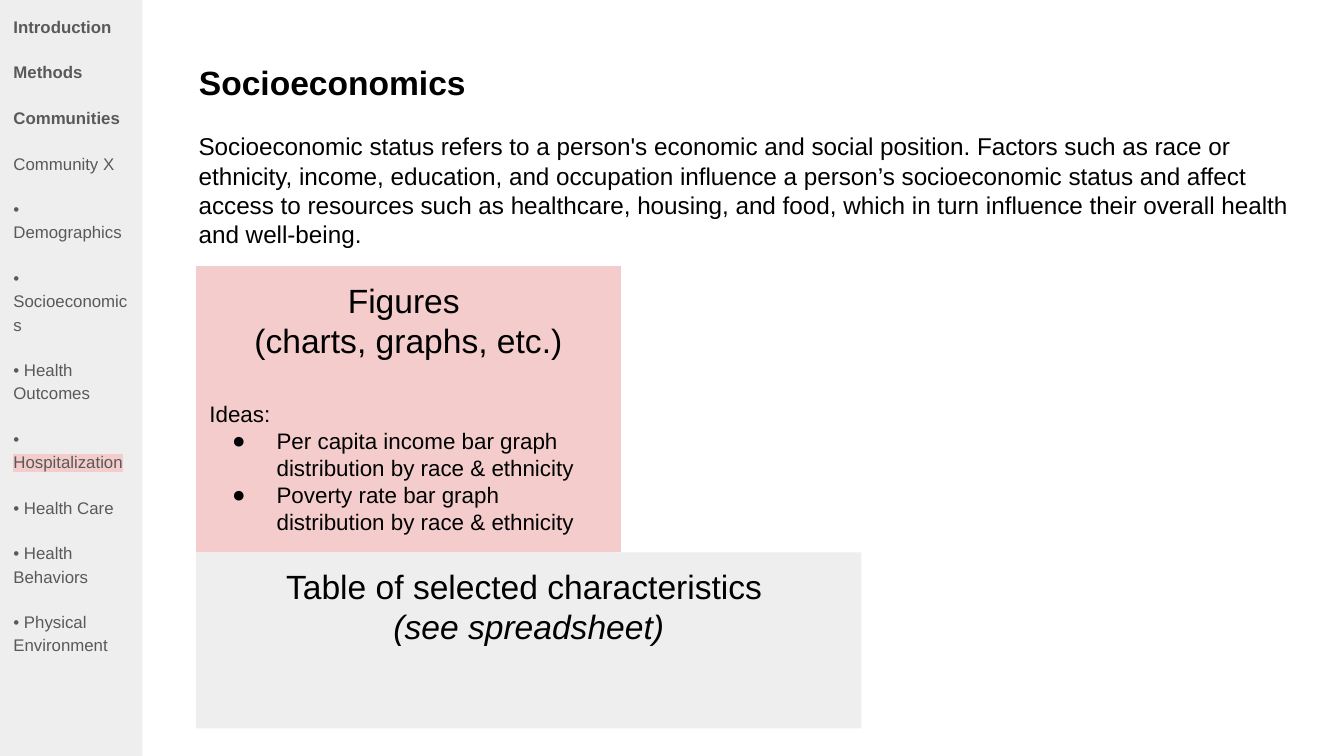
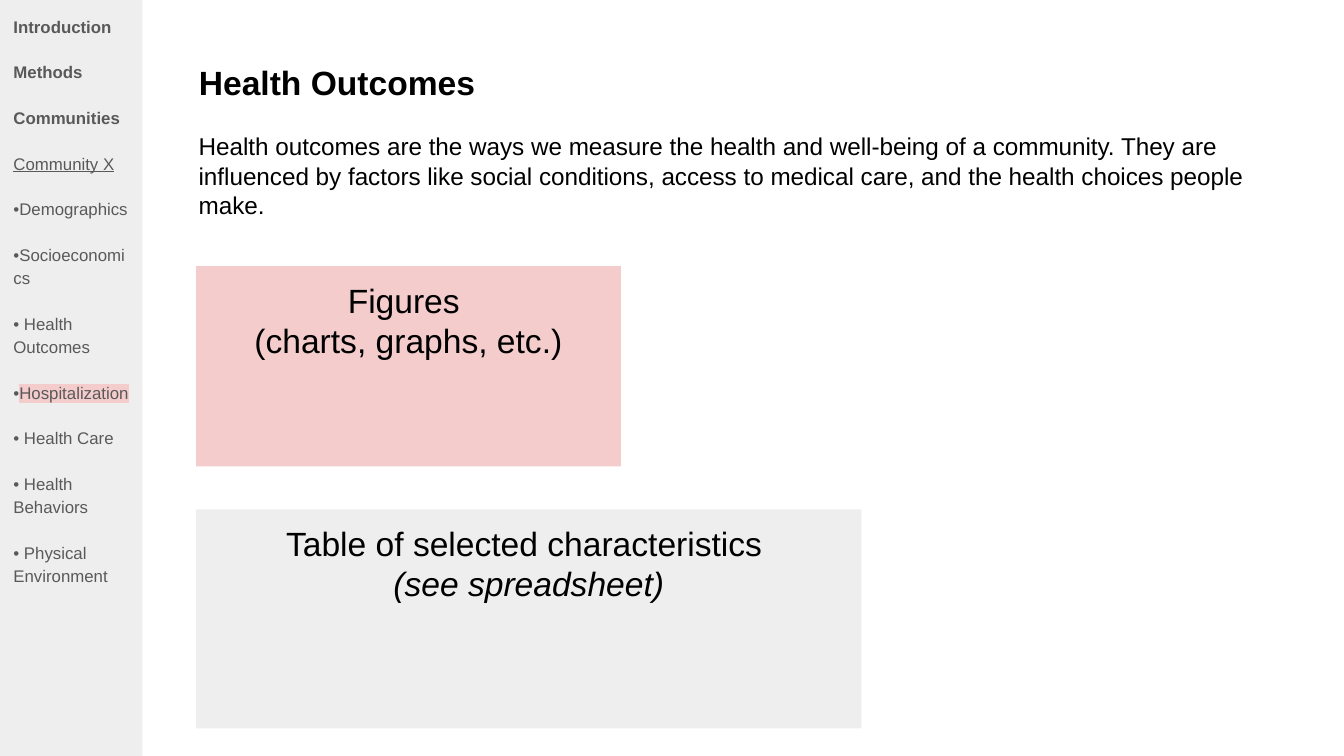
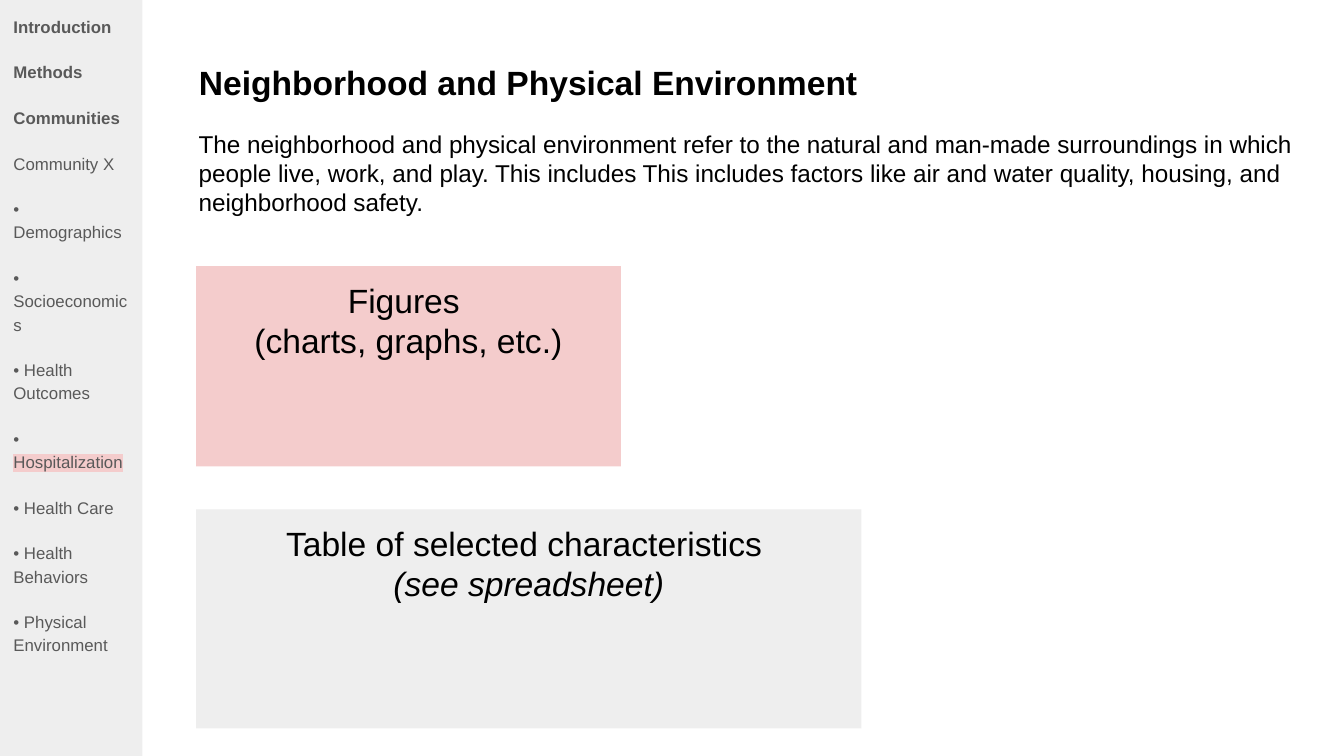
from dataclasses import dataclass

from pptx import Presentation
from pptx.dml.color import RGBColor
from pptx.enum import shapes, text
from pptx.oxml import parse_xml
from pptx.oxml.ns import nsdecls
from pptx.util import Inches, Pt


@dataclass(frozen=True)
class Theme:
    font: str = "Arial"
    ink: str = "000000"
    muted: str = "595959"
    grey: str = "EEEEEE"
    pink: str = "F4CCCC"
    heading: float = 18
    body: float = 13
    ideas: float = 12
    menu: float = 9


theme = Theme()

# Shared layout, in inches, on a 16:9 slide
SLIDE_WIDTH = 10
SLIDE_HEIGHT = SLIDE_WIDTH * 9 / 16
SIDEBAR_WIDTH = 1.06
TEXT_LEFT, TEXT_WIDTH = 1.38, 8.43
TITLE_TOP, INTRO_BOTTOM = 0.36, 2.3
PANEL_LEFT, FIGURES_TOP, TABLE_BOTTOM = 1.46, 1.98, 5.42

# Sidebar entries
SECTIONS = ["Introduction", "Methods", "Communities"]
COMMUNITY = "Community X"
TOPICS = ["Demographics", "Socioeconomics", "Health Outcomes", "Hospitalization",
          "Health Care", "Health Behaviors", "Physical Environment"]
MARKED_TOPIC = "Hospitalization"

# What differs from slide to slide
pages = [
    dict(title="Socioeconomics",
         intro="Socioeconomic status refers to a person's economic and social position. "
               "Factors such as race or ethnicity, income, education, and occupation "
               "influence a person’s socioeconomic status and affect access to resources "
               "such as healthcare, housing, and food, which in turn influence their "
               "overall health and well-being.",
         intro_top=0.88, figures_height=2.13, table_top=4.11,
         ideas=["Per capita income bar graph distribution by race & ethnicity",
                "Poverty rate bar graph distribution by race & ethnicity"],
         tight_topics=[], underline_community=False),
    dict(title="Health Outcomes",
         intro="Health outcomes are the ways we measure the health and well-being of a "
               "community. They are influenced by factors like social conditions, access "
               "to medical care, and the health choices people make.",
         intro_top=0.88, figures_height=1.49, table_top=3.79, ideas=[],
         tight_topics=["Demographics", "Socioeconomics", "Hospitalization"],
         underline_community=True),
    dict(title="Neighborhood and Physical Environment",
         intro="The neighborhood and physical environment refer to the natural and "
               "man-made surroundings in which people live, work, and play. This includes "
               "This includes factors like air and water quality, housing, and "
               "neighborhood safety.",
         intro_top=0.86, figures_height=1.49, table_top=3.79, ideas=[],
         tight_topics=[], underline_community=False),
]


def prepare(box, left, top, width, height, fill=None):
    """Place a box, fill it and set its text frame; return the frame."""
    box.left, box.top = Inches(left), Inches(top)
    box.width, box.height = Inches(width), Inches(height)
    if fill:
        box.fill.solid()
        box.fill.fore_color.rgb = RGBColor.from_string(fill)
        box.line.fill.background()
    frame = box.text_frame
    frame.word_wrap = True
    frame.auto_size = text.MSO_AUTO_SIZE.NONE
    frame.vertical_anchor = text.MSO_ANCHOR.TOP
    frame.margin_left = frame.margin_right = Inches(0.1)
    frame.margin_top = frame.margin_bottom = Inches(0.1)
    return frame


def style(para, size, color=theme.ink, bold=False, align=text.PP_ALIGN.LEFT, before=0):
    """Format a paragraph and all of its runs."""
    para.alignment = align
    para.space_before = Pt(before)
    for span in para.runs:
        span.font.name = theme.font
        span.font.size = Pt(size)
        span.font.bold = bold
        span.font.color.rgb = RGBColor.from_string(color)


deck = Presentation()
deck.slide_width, deck.slide_height = Inches(SLIDE_WIDTH), Inches(SLIDE_HEIGHT)

for content in pages:
    page = deck.slides.add_slide(deck.slide_layouts[1])

    # Sidebar menu
    frame = prepare(page.placeholders[1], 0, 0, SIDEBAR_WIDTH, SLIDE_HEIGHT, theme.grey)
    bullets = ["•" if topic in content["tight_topics"] else "• " for topic in TOPICS]
    entries = SECTIONS + [COMMUNITY] + [b + topic for b, topic in zip(bullets, TOPICS)]
    frame.text = "\n".join(entries)
    for para, entry in zip(frame.paragraphs, entries):
        if entry.endswith(MARKED_TOPIC):
            para.text = entry.removesuffix(MARKED_TOPIC)
            para.add_run().text = MARKED_TOPIC
        para.line_spacing = 1.15
        style(para, theme.menu, theme.muted, bold=entry in SECTIONS,
              before=0 if entry == entries[0] else 12)
        if entry == COMMUNITY and content["underline_community"]:
            para.runs[0].font.underline = True
        if entry.endswith(MARKED_TOPIC):
            properties = para.runs[-1].font._element
            properties.find("{*}solidFill").addnext(parse_xml(
                f'<a:highlight {nsdecls("a")}><a:srgbClr val="{theme.pink}"/></a:highlight>'))
        if entry == entries[-1]:
            para.space_after = Pt(12)
        properties = para._p.get_or_add_pPr()
        properties.set("marL", "0")
        properties.set("indent", "0")
        properties.append(parse_xml(f'<a:buNone {nsdecls("a")}/>'))

    # Title
    frame = prepare(page.shapes.title, TEXT_LEFT, TITLE_TOP, TEXT_WIDTH,
                    content["intro_top"] - TITLE_TOP)
    frame.text = content["title"]
    style(frame.paragraphs[0], theme.heading, bold=True)

    # Introduction
    box = page.shapes.add_textbox(0, 0, 0, 0)
    frame = prepare(box, TEXT_LEFT, content["intro_top"], TEXT_WIDTH,
                    INTRO_BOTTOM - content["intro_top"])
    frame.text = content["intro"]
    style(frame.paragraphs[0], theme.body)

    # Table and figures panels
    panels = [
        (content["table_top"], 4.95, TABLE_BOTTOM - content["table_top"], theme.grey,
         ["Table of selected characteristics ", "(see spreadsheet)"]),
        (FIGURES_TOP, 3.16, content["figures_height"], theme.pink,
         ["Figures ", "(charts, graphs, etc.)"]),
    ]
    for top, width, height, fill, lines in panels:
        panel = page.shapes.add_shape(shapes.MSO_SHAPE.RECTANGLE, 0, 0, 0, 0)
        panel.shadow.inherit = False
        frame = prepare(panel, PANEL_LEFT, top, width, height, fill)
        frame.text = "\n".join(lines)
        for para in frame.paragraphs:
            style(para, theme.heading, align=text.PP_ALIGN.CENTER)
        if fill == theme.grey:
            frame.paragraphs[1].runs[0].font.italic = True

    # Ideas below the figures heading
    if content["ideas"]:
        para = frame.add_paragraph()
        para.text = "Ideas:"
        style(para, theme.ideas, before=21.5)
    for idea in content["ideas"]:
        para = frame.add_paragraph()
        para.text = idea
        style(para, theme.ideas)
        properties = para._p.get_or_add_pPr()
        properties.set("marL", str(Inches(0.5)))
        properties.set("indent", str(-Inches(0.33)))
        for bullet in (f'<a:buClr {nsdecls("a")}><a:srgbClr val="{theme.ink}"/></a:buClr>',
                       f'<a:buSzPts {nsdecls("a")} val="{theme.ideas * 100}"/>',
                       f'<a:buFont {nsdecls("a")} typeface="{theme.font}"/>',
                       f'<a:buChar {nsdecls("a")} char="●"/>'):
            properties.append(parse_xml(bullet))

deck.save("out.pptx")
